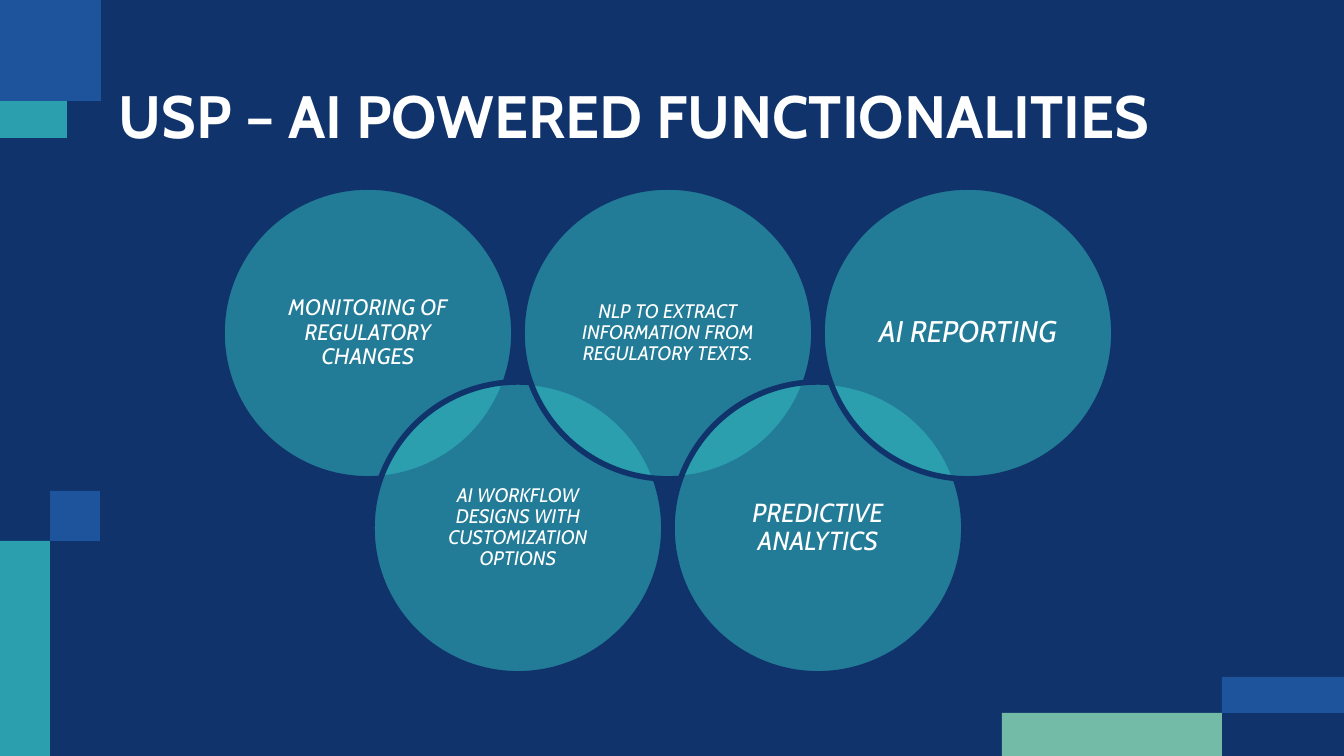
"""Build the slide of AI powered functionalities as five overlapping circles."""
from dataclasses import dataclass

from lxml import etree
from pptx import Presentation
from pptx.dml.color import RGBColor
from pptx.enum.shapes import MSO_SHAPE
from pptx.enum.text import MSO_ANCHOR, PP_ALIGN
from pptx.oxml.ns import qn
from pptx.util import Emu, Pt

RECTANGLE, OVAL = MSO_SHAPE.RECTANGLE, MSO_SHAPE.OVAL
TOP, MIDDLE = MSO_ANCHOR.TOP, MSO_ANCHOR.MIDDLE
LEFT, CENTER = PP_ALIGN.LEFT, PP_ALIGN.CENTER
EMU_PER_PX = 914400 / 134.4
PAGE_WIDTH, PAGE_HEIGHT = 1344, 756
CIRCLE_LEFT, CIRCLE_TOP, CIRCLE_SIZE = 222, 187, 292
COLUMN_STEP, ROW_DROP = 150, 195


@dataclass(frozen=True)
class Theme:
    navy: str = "10336B"
    blue: str = "2361AE"
    teal: str = "35C4C4"
    mint: str = "A4FCC4"
    white: str = "FFFFFF"
    font: str = "Cabin"
    title_size: float = 32
    large: float = 16
    medium: float = 14
    normal: float = 12
    small: float = 10.5


@dataclass(frozen=True)
class Block:
    left: int
    top: int
    width: int
    height: int
    color: str
    opacity: int


@dataclass(frozen=True)
class Circle:
    text: str
    size: float
    inset: int


THEME = Theme()
BLOCKS = (
    Block(1002, 713, 220, 43, THEME.mint, 68),
    Block(1222, 677, 122, 36, THEME.blue, 72),
    Block(50, 491, 50, 50, THEME.blue, 72),
    Block(0, 541, 50, 215, THEME.teal, 75),
    Block(0, 0, 101, 101, THEME.blue, 72),
    Block(0, 101, 67, 37, THEME.teal, 75),
)
CIRCLES = (
    Circle("MONITORING OF REGULATORY CHANGES", THEME.normal, 7),
    Circle("AI WORKFLOW DESIGNS WITH CUSTOMIZATION OPTIONS", THEME.small, 7),
    Circle("NLP TO EXTRACT INFORMATION FROM REGULATORY TEXTS.", THEME.small, 7),
    Circle("PREDICTIVE ANALYTICS", THEME.medium, 8),
    Circle("AI REPORTING", THEME.large, 9),
)


def px(length: int) -> Emu:
    return Emu(round(length * EMU_PER_PX))


def rgb(color: str) -> RGBColor:
    return RGBColor.from_string(color)


def add_filled_shape(page, kind, block: Block):
    shape = page.shapes.add_shape(
        kind, px(block.left), px(block.top), px(block.width), px(block.height))
    shape.shadow.inherit = False
    shape.fill.solid()
    shape.fill.fore_color.rgb = rgb(block.color)
    color = shape.fill._xPr.find(f"{qn('a:solidFill')}/{qn('a:srgbClr')}")
    etree.SubElement(color, qn("a:alpha"), val=str(block.opacity * 1000))
    shape.line.fill.background()
    return shape


def write_text(shape, text: str, size: float, inset: int, anchor, alignment):
    frame = shape.text_frame
    frame.word_wrap = True
    frame.vertical_anchor = anchor
    frame.margin_left = frame.margin_right = px(inset)
    frame.margin_top = frame.margin_bottom = px(inset)
    para = frame.paragraphs[0]
    para.text = text
    para.alignment = alignment
    para.font.name = THEME.font
    para.font.size = Pt(size)
    para.font.color.rgb = rgb(THEME.white)
    return para


def add_title(page, text: str) -> None:
    box = page.shapes.add_textbox(px(106), px(66), px(1133), px(85))
    para = write_text(box, text, THEME.title_size, 13, TOP, LEFT)
    para.font.bold = True


def add_circle(page, index: int, circle: Circle) -> None:
    left = CIRCLE_LEFT + index * COLUMN_STEP
    top = CIRCLE_TOP + index % 2 * ROW_DROP
    shape = add_filled_shape(
        page, OVAL, Block(left, top, CIRCLE_SIZE, CIRCLE_SIZE, THEME.teal, 50))
    shape.line.color.rgb = rgb(THEME.navy)
    shape.line.width = Pt(3)
    para = write_text(
        shape, circle.text, circle.size, circle.inset, MIDDLE, CENTER)
    para.line_spacing = 0.9
    para.font.italic = True


def main() -> None:
    deck = Presentation()
    deck.slide_width, deck.slide_height = px(PAGE_WIDTH), px(PAGE_HEIGHT)
    page = deck.slides.add_slide(deck.slide_layouts[6])
    page.background.fill.solid()
    page.background.fill.fore_color.rgb = rgb(THEME.navy)
    for block in BLOCKS:
        add_filled_shape(page, RECTANGLE, block)
    add_title(page, "USP – AI POWERED FUNCTIONALITIES")
    for index, circle in enumerate(CIRCLES):
        add_circle(page, index, circle)
    deck.save("out.pptx")


if __name__ == "__main__":
    main()
